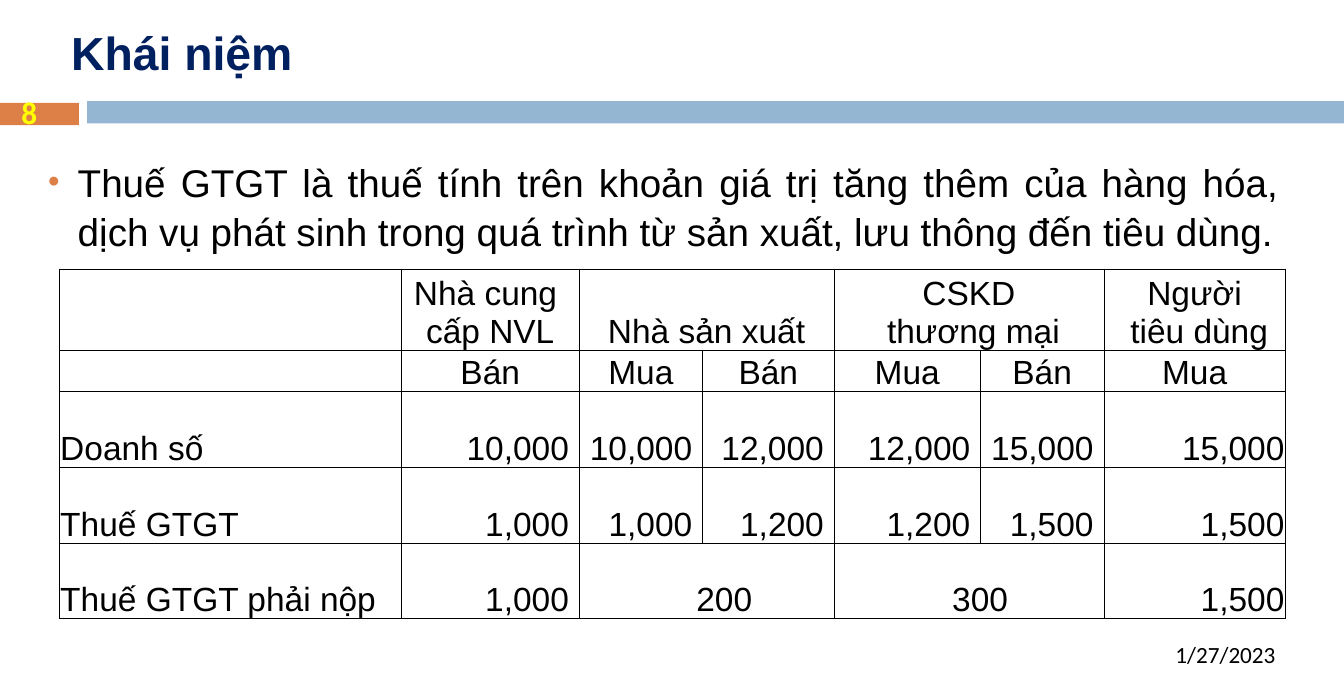
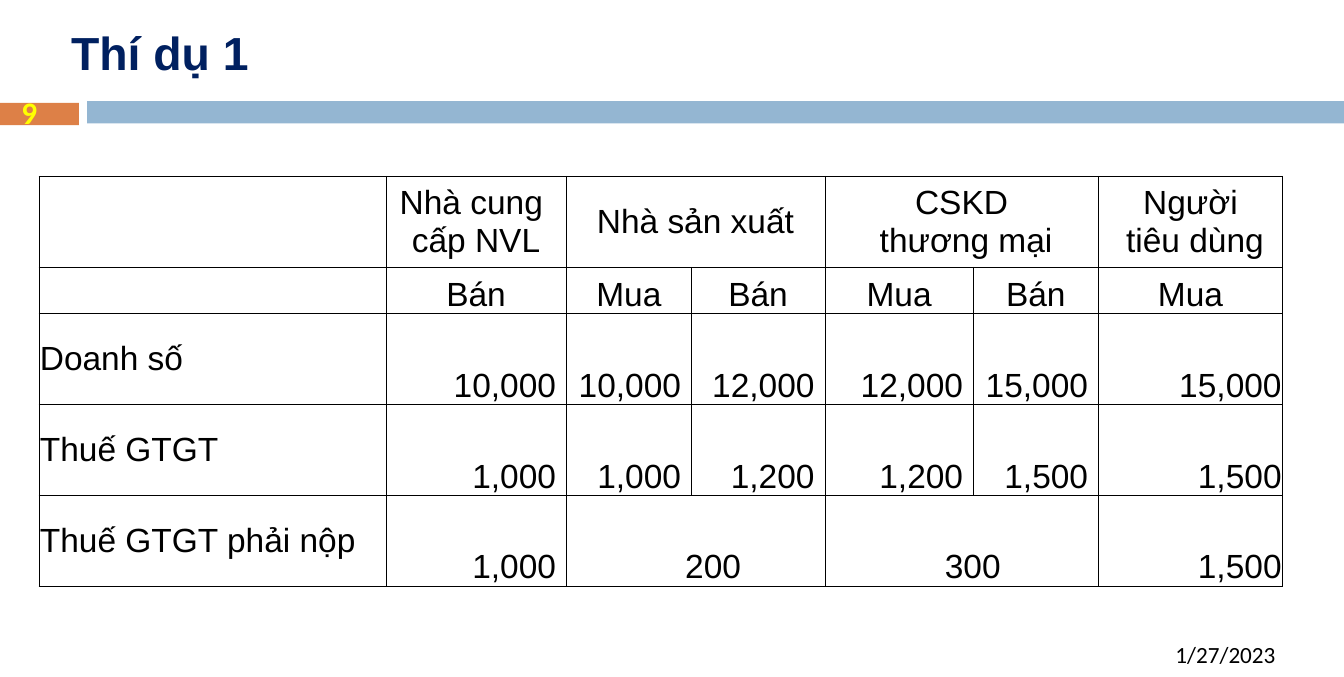
from lxml.etree import SubElement
from pptx import Presentation
from pptx.dml.color import RGBColor
from pptx.enum.shapes import MSO_SHAPE
from pptx.enum.text import MSO_ANCHOR, PP_ALIGN
from pptx.oxml import parse_xml
from pptx.oxml.ns import nsdecls, qn
from pptx.util import Inches, Pt

THEME = {
    "orange": "DD8047",
    "blue": "94B6D2",
    "border": "000000",
    "title": {"name": "Arial", "size": Pt(36), "bold": True, "color": "002060"},
    "body": {"name": "Arial", "size": Pt(30), "bold": False, "color": "000000"},
    "cell": {"name": "Arial", "size": Pt(26), "bold": False, "color": "000000"},
    "number": {"name": "Calibri", "size": Pt(24.3), "bold": True, "color": "FFFF00"},
    "date": {"name": "Calibri", "size": Pt(18), "bold": False, "color": "000000"},
}

LEFT, CENTER, RIGHT = PP_ALIGN.LEFT, PP_ALIGN.CENTER, PP_ALIGN.RIGHT
TOP, MIDDLE, BOTTOM = MSO_ANCHOR.TOP, MSO_ANCHOR.MIDDLE, MSO_ANCHOR.BOTTOM

BANDS = [
    (0, 1.11, 0.85, "orange"),
    (0.94, 1.09, 13.56, "blue"),
]
COLUMNS = [3.69, 1.92, 1.33, 1.42, 1.58, 1.33, 1.96]
ROWS = [
    ["", "Nhà cung \vcấp NVL", "Nhà sản xuất", "", "CSKD\v thương mại", "", "Người\v tiêu dùng"],
    ["", "Bán", "Mua", "Bán", "Mua", "Bán", "Mua"],
    ["Doanh số", "10,000", "10,000", "12,000", "12,000", "15,000", "15,000"],
    ["Thuế GTGT", "1,000", "1,000", "1,200", "1,200", "1,500", "1,500"],
    ["Thuế GTGT phải nộp", "1,000", "200", "", "300", "", "1,500"],
]
HEADER_ROWS = 2
MERGED_ROWS = (0, len(ROWS) - 1)
MERGED_COLUMNS = (2, 4)
LAST_COLUMN = len(COLUMNS) - 1

PAGES = [
    {
        "title": "Khái niệm",
        "number": "8",
        "body": "Thuế GTGT là thuế tính trên khoản giá trị tăng thêm của hàng hóa, "
                "dịch vụ phát sinh trong quá trình từ sản xuất, lưu thông đến tiêu dùng.",
        "table": (0.64, 2.9, 13.23),
        "heights": [0.81, 0.42, 0.82, 0.82, 0.81],
        "label_anchor": BOTTOM,
    },
    {
        "title": "Thí dụ 1",
        "number": "9",
        "body": "",
        "table": (0.42, 1.9, 13.42),
        "heights": [0.98, 0.5, 0.98, 0.98, 0.98],
        "label_anchor": MIDDLE,
    },
]


def write(frame, text, style, align):
    para = frame.paragraphs[0]
    para.text = text
    para.alignment = align
    for span in para.runs:
        for name, value in THEME[style].items():
            if name == "color":
                span.font.color.rgb = RGBColor.from_string(value)
            else:
                setattr(span.font, name, value)
    return para


def add_text(page, bounds, text, style, align, anchor):
    box = page.shapes.add_textbox(*[Inches(value) for value in bounds])
    box.text_frame.word_wrap = True
    box.text_frame.vertical_anchor = anchor
    return write(box.text_frame, text, style, align)


deck = Presentation()
deck.slide_width, deck.slide_height = Inches(14.5), Inches(7.3)

for content in PAGES:
    page = deck.slides.add_slide(deck.slide_layouts[6])

    for left, top, width, color in BANDS:
        band = page.shapes.add_shape(
            MSO_SHAPE.RECTANGLE, Inches(left), Inches(top), Inches(width), Inches(0.24))
        band.shadow.inherit = False
        band.fill.solid()
        band.fill.fore_color.rgb = RGBColor.from_string(THEME[color])
        band.line.fill.background()

    add_text(page, (0.67, 0.14, 13.23, 0.84), content["title"], "title", LEFT, MIDDLE)
    add_text(page, (-0.17, 0.77, 0.97, 0.87), content["number"], "number", CENTER, MIDDLE)
    add_text(page, (9.63, 6.86, 4.23, 0.39), "1/27/2023", "date", RIGHT, TOP)

    if content["body"]:
        para = add_text(page, (0.42, 1.63, 13.48, 1.27), content["body"], "body",
                        PP_ALIGN.JUSTIFY, TOP)
        para.line_spacing = 1.06
        properties = para._p.get_or_add_pPr()
        properties.set("marL", str(Inches(0.32)))
        properties.set("indent", str(Inches(-0.32)))
        bullet_color = SubElement(properties, qn("a:buClr"))
        SubElement(bullet_color, qn("a:srgbClr"), val=THEME["orange"])
        SubElement(properties, qn("a:buSzPct"), val="85000")
        SubElement(properties, qn("a:buFont"), typeface="Arial")
        SubElement(properties, qn("a:buChar"), char="•")

    left, top, width = content["table"]
    table = page.shapes.add_table(
        len(ROWS), len(COLUMNS), Inches(left), Inches(top), Inches(width),
        Inches(sum(content["heights"]))).table
    table.first_row = table.horz_banding = False
    for column, share in zip(table.columns, COLUMNS):
        column.width = Inches(width * share / sum(COLUMNS))
    for row, height in zip(table.rows, content["heights"]):
        row.height = Inches(height)

    for row_index, texts in enumerate(ROWS):
        for column_index, text in enumerate(texts):
            cell = table.cell(row_index, column_index)
            merged = row_index in MERGED_ROWS and column_index in MERGED_COLUMNS
            margins = {"left": 0.01, "right": 0.01, "top": 0.01, "bottom": 0}
            align, anchor = CENTER, BOTTOM
            if row_index == 0:
                anchor = content["label_anchor"]
            elif row_index >= HEADER_ROWS:
                if column_index == 0:
                    align, anchor = LEFT, content["label_anchor"]
                elif merged:
                    margins["left"] = 0.39 if column_index == 2 else 0.25
                else:
                    align = RIGHT
                    margins["right"] = 0.01 if column_index == LAST_COLUMN else 0.11
            for side, margin in margins.items():
                setattr(cell, f"margin_{side}", Inches(margin))
            cell.vertical_anchor = anchor
            cell.fill.background()
            write(cell.text_frame, text, "cell", align)

            cell_properties = cell._tc.get_or_add_tcPr()
            for position, side in enumerate("LRTB"):
                cell_properties.insert(position, parse_xml(
                    f'<a:ln{side} {nsdecls("a")} w="{Pt(0.5)}"><a:solidFill>'
                    f'<a:srgbClr val="{THEME["border"]}"/></a:solidFill></a:ln{side}>'))

    for row_index in MERGED_ROWS:
        for column_index in MERGED_COLUMNS:
            table.cell(row_index, column_index).merge(
                table.cell(row_index, column_index + 1))

deck.save("out.pptx")
